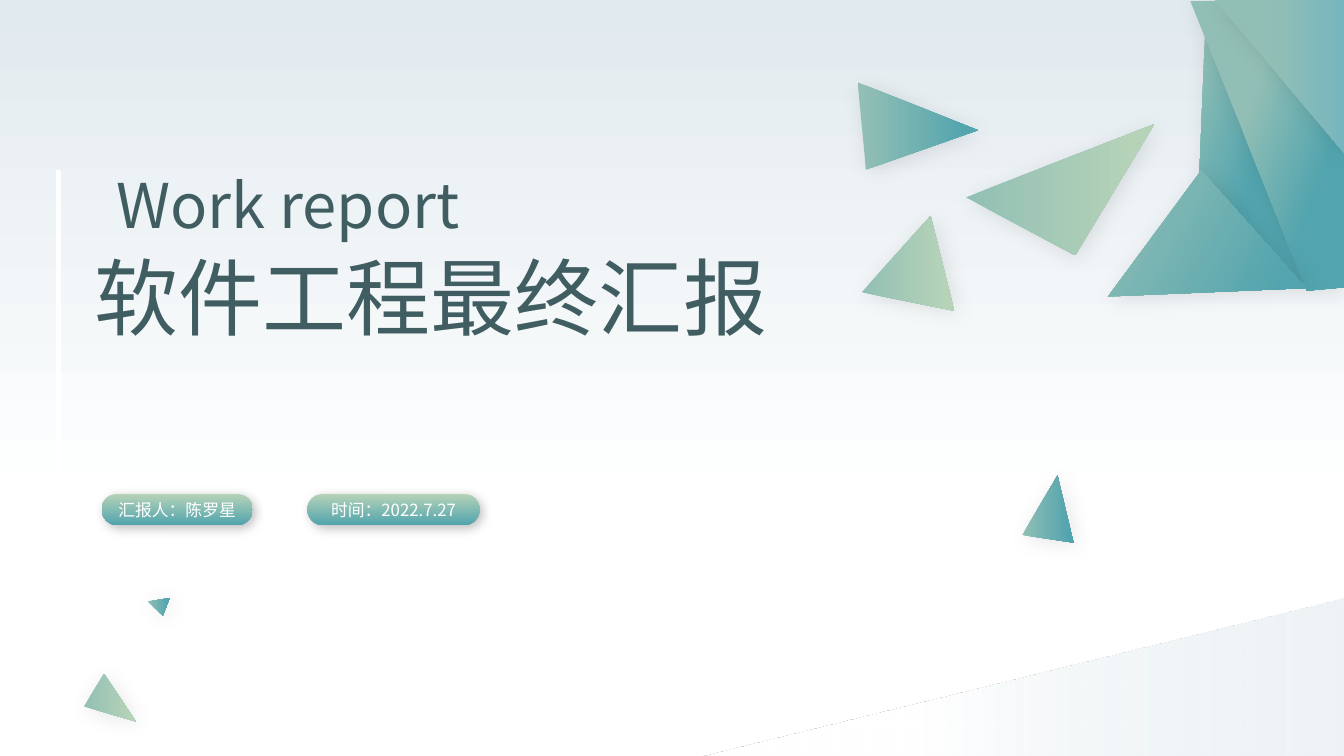
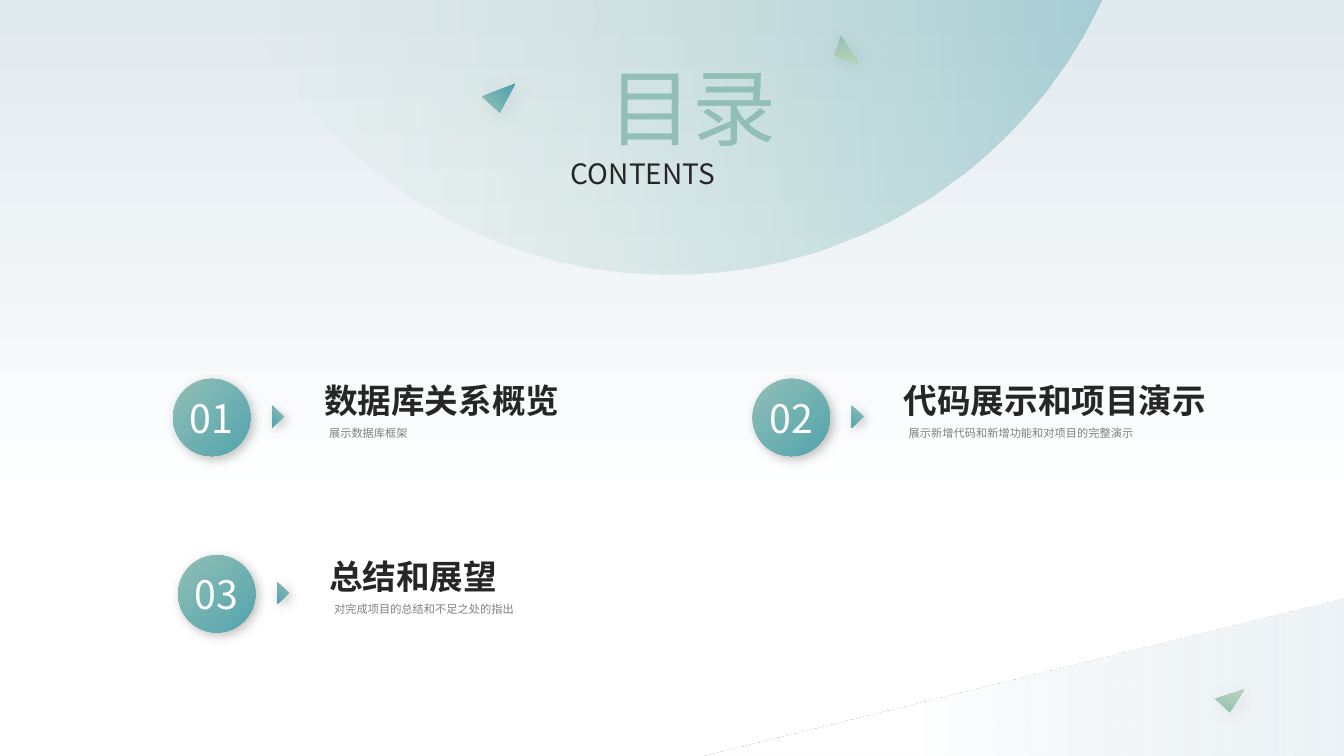
import math
from dataclasses import dataclass

import pptx
import pptx.dml.color
import pptx.enum.shapes
import pptx.enum.text
import pptx.oxml.ns
import pptx.util
from lxml import etree

COLUMNS, ROWS = 160, 90
CELL = pptx.util.Inches(7.5) // ROWS
PRESET = pptx.enum.shapes.MSO_SHAPE
ALIGN = pptx.enum.text.PP_ALIGN
ANCHOR = pptx.enum.text.MSO_ANCHOR
qn = pptx.oxml.ns.qn


@dataclass(frozen=True)
class Theme:
    font: str = "Noto Sans CJK SC"
    mist: str = "E1EAEF"
    white: str = "FFFFFF"
    leaf: str = "B6D3B7"
    sage: str = "92BFB5"
    sky: str = "77B6BF"
    teal: str = "52A4AE"
    slate: str = "405E62"
    ink: str = "262626"
    grey: str = "808080"
    title: int = 60
    subtitle: int = 44
    number: int = 28
    heading: int = 24
    label: int = 20
    pill: int = 12
    note: int = 8


@dataclass(frozen=True)
class Gradient:
    start: str
    end: str
    angle: float = 0
    first: int = 0
    last: int = 100
    alphas: tuple = (100, 100)


@dataclass(frozen=True)
class Shadow:
    alpha: int
    blur: int
    distance: int = 3
    angle: int = 45


THEME = Theme()
SOFT = Shadow(10, 15)
FIRM = Shadow(25, 8)


def teal_shade(angle=0, first=0, last=92):
    return Gradient(THEME.sage, THEME.teal, angle, first, last)


def leaf_shade(angle=0):
    return Gradient(THEME.sage, THEME.leaf, angle, 0, 92)


DIAGONAL = teal_shade(45, 0, 100)


def cells(*counts):
    return [pptx.util.Emu(round(count * CELL)) for count in counts]


def rgb(colour):
    return pptx.dml.color.RGBColor.from_string(colour)


def shade(fill, gradient):
    fill.gradient()
    fill.gradient_angle = (360 - gradient.angle) % 360
    ends = ((gradient.first, gradient.start), (gradient.last, gradient.end))
    for stop, (position, colour) in zip(fill.gradient_stops, ends):
        stop.position = position / 100
        stop.color.rgb = rgb(colour)


def finish(shape, gradient, shadow=None):
    shade(shape.fill, gradient)
    properties = shape.element.spPr
    for colour, alpha in zip(properties.iter(qn("a:srgbClr")), gradient.alphas):
        if alpha < 100:
            etree.SubElement(colour, qn("a:alpha"), val=str(alpha * 1000))
    shape.line.fill.background()
    shape.shadow.inherit = False
    if shadow:
        cast = etree.SubElement(
            properties.find(qn("a:effectLst")), qn("a:outerShdw"),
            blurRad=str(pptx.util.Pt(shadow.blur)),
            dist=str(pptx.util.Pt(shadow.distance)),
            dir=str(shadow.angle * 60000), algn="tl", rotWithShape="0")
        black = etree.SubElement(cast, qn("a:srgbClr"), val="000000")
        etree.SubElement(black, qn("a:alpha"), val=str(shadow.alpha * 1000))
    return shape


def preset(slide, kind, box, gradient, shadow=None, adjust=None):
    shape = slide.shapes.add_shape(kind, *cells(*box))
    if adjust is not None:
        shape.adjustments[0] = adjust
    return finish(shape, gradient, shadow)


def polygon(slide, points, gradient, shadow=SOFT):
    corners = [cells(*point) for point in points]
    outline = slide.shapes.build_freeform(*corners[0], scale=1.0)
    outline.add_line_segments(corners[1:], close=True)
    return finish(outline.convert_to_shape(), gradient, shadow)


def write(shape, words, size, colour, align=ALIGN.LEFT, anchor=ANCHOR.TOP,
          bold=False, spacing=1.0, wrap=True):
    frame = shape.text_frame
    frame.text = words
    frame.word_wrap = wrap
    frame.auto_size = pptx.enum.text.MSO_AUTO_SIZE.NONE
    frame.vertical_anchor = anchor
    paragraph = frame.paragraphs[0]
    paragraph.alignment = align
    paragraph.line_spacing = spacing
    paragraph.space_before = pptx.util.Pt(0)
    font = paragraph.font
    font.name, font.size, font.bold = THEME.font, pptx.util.Pt(size), bold
    if isinstance(colour, Gradient):
        shade(font.fill, colour)
    else:
        font.color.rgb = rgb(colour)
    latin = next(paragraph.font.fill and shape.element.iter(qn("a:latin")))
    latin.addnext(etree.Element(qn("a:ea"), typeface=THEME.font))


def place(shape, box):
    shape.left, shape.top, shape.width, shape.height = cells(*box)
    return shape


def label(slide, box, words, size, colour, **style):
    write(slide.shapes.add_textbox(*cells(*box)), words, size, colour, **style)


def send_to_back(shapes, tree):
    for index, shape in enumerate(shapes, 2):
        tree.insert(index, shape.element)


def decorate_master(master, slide):
    backdrop = preset(slide, PRESET.RECTANGLE, (0, 0, COLUMNS, ROWS),
                      Gradient(THEME.mist, THEME.white, 90, 0, 67))
    slope = preset(slide, PRESET.ISOSCELES_TRIANGLE, (83.8, 71.2, 76.2, 18.8),
                   Gradient(THEME.mist, THEME.white, 180, 0, 67, (57, 100)),
                   adjust=1)
    send_to_back([backdrop, slope], master.element.cSld.spTree)


def pill(slide, left, width, words):
    shape = preset(slide, PRESET.ROUNDED_RECTANGLE, (left, 58.8, width, 3.7),
                   Gradient(THEME.leaf, THEME.teal, 90), FIRM, 0.5)
    write(shape, words, THEME.pill, THEME.white, ALIGN.CENTER, ANCHOR.MIDDLE,
          wrap=False)


def crystal(slide):
    polygon(slide, [(142.8, 20.5), (143.5, 3), (155.5, 34.4)],
            teal_shade(20, 3, 54))
    polygon(slide, [(141.7, 0.1), (155.6, 34.6), (160, 34.2), (160, 0.1)],
            teal_shade(20, 37, 76))
    corner = preset(slide, PRESET.ISOSCELES_TRIANGLE, (144.6, 0, 15.4, 18.2),
                    Gradient(THEME.sage, THEME.sky, 0, 45), SOFT, 1)
    corner.element.spPr.xfrm.set("flipV", "1")
    polygon(slide, [(131.9, 35.3), (143, 20.3), (155.5, 34.3)],
            teal_shade(30, 3, 89))


def build_cover(slide):
    write(place(slide.shapes.title, (10.1, 28.6, 89.5, 13.3)),
          "软件工程最终汇报", THEME.title, THEME.slate)
    write(place(slide.placeholders[1], (-2.2, 17.3, 73, 11.2)),
          "Work report", THEME.subtitle, THEME.slate, ALIGN.CENTER,
          ANCHOR.MIDDLE, spacing=1.3)
    crystal(slide)
    pill(slide, 12.1, 18, "汇报人：陈罗星")
    pill(slide, 36.6, 20.5, "时间：2022.7.27")
    shards = [
        ([(103.1, 20.2), (102.1, 9.8), (116.4, 15.5)], teal_shade(first=3)),
        ([(102.6, 34.8), (110.8, 25.7), (113.6, 37)], leaf_shade()),
        ([(115, 23.5), (137.4, 14.8), (128, 30.4)], leaf_shade()),
        ([(121.7, 63.7), (125.9, 56.6), (127.8, 64.6)], teal_shade()),
        ([(10, 84.1), (12.4, 80.2), (16.2, 85.9)], leaf_shade()),
        ([(17.6, 71.6), (20.2, 71.2), (19.4, 73.3)], teal_shade()),
    ]
    for points, gradient in shards:
        polygon(slide, points, gradient)
    accent = slide.shapes.add_connector(
        pptx.enum.shapes.MSO_CONNECTOR.STRAIGHT, *cells(7, 20.2, 7, 60.4))
    accent.line.color.rgb = rgb(THEME.white)
    accent.line.width = pptx.util.Pt(3.75)
    etree.SubElement(accent.element.spPr, qn("a:effectLst"))


def dome(slide):
    centre_x, centre_y, radius, top, steps = 79.9, -23.9, 56.6, 0.1, 96
    reach = math.acos((top - centre_y) / radius)
    angles = [reach * (2 * step / steps - 1) for step in range(steps + 1)]
    arc = [(centre_x + radius * math.sin(angle),
            centre_y + radius * math.cos(angle)) for angle in angles]
    return polygon(slide, arc,
                   Gradient(THEME.leaf, THEME.sky, alphas=(0, 55)), None)


def topic(slide, left, top, number, heading, note):
    badge = preset(slide, PRESET.OVAL, (left, top, 9.2, 9.2), DIAGONAL, FIRM)
    write(badge, number, THEME.number, THEME.white, ALIGN.CENTER,
          ANCHOR.MIDDLE, wrap=False)
    pointer = preset(slide, PRESET.ISOSCELES_TRIANGLE,
                     (left + 11.2, top + 3.8, 2.6, 1.4), DIAGONAL, FIRM)
    pointer.rotation = 90
    label(slide, (left + 16.8, top - 0.5, 38.8, 6), heading,
          THEME.heading, THEME.ink, bold=True, wrap=False)
    label(slide, (left + 17.4, top + 4.7, 38.2, 3), note,
          THEME.note, THEME.grey, spacing=1.2)


def build_contents(slide):
    send_to_back([dome(slide)], slide.element.cSld.spTree)
    write(place(slide.shapes.title, (69.5, 6, 25.8, 13.3)),
          "目录", THEME.title, DIAGONAL, ALIGN.CENTER)
    label(slide, (66.8, 18, 31, 6.5), "CONTENTS", THEME.label, THEME.ink)
    topics = [
        (20.6, 45.1, "数据库关系概览", "展示数据库框架"),
        (89.6, 45.1, "代码展示和项目演示",
         "展示新增代码和新增功能和对项目的完整演示"),
        (21.2, 66.1, "总结和展望", "对完成项目的总结和不足之处的指出"),
    ]
    for count, (left, top, heading, note) in enumerate(topics, 1):
        topic(slide, left, top, f"{count:02d}", heading, note)
    shards = [
        ([(59.5, 13.4), (57.4, 11.5), (61.3, 10)], teal_shade(317, 3)),
        ([(100.1, 4.2), (102.2, 7.6), (99.4, 6.6)], leaf_shade(80)),
        ([(146.4, 84.8), (144.7, 83.2), (148.1, 82.1)], leaf_shade(285)),
    ]
    for points, gradient in shards:
        polygon(slide, points, gradient)


def main():
    deck = pptx.Presentation()
    deck.slide_width, deck.slide_height = cells(COLUMNS, ROWS)
    cover = deck.slides.add_slide(deck.slide_layouts[0])
    decorate_master(deck.slide_master, cover)
    build_cover(cover)
    build_contents(deck.slides.add_slide(deck.slide_layouts[5]))
    deck.save("out.pptx")


if __name__ == "__main__":
    main()
